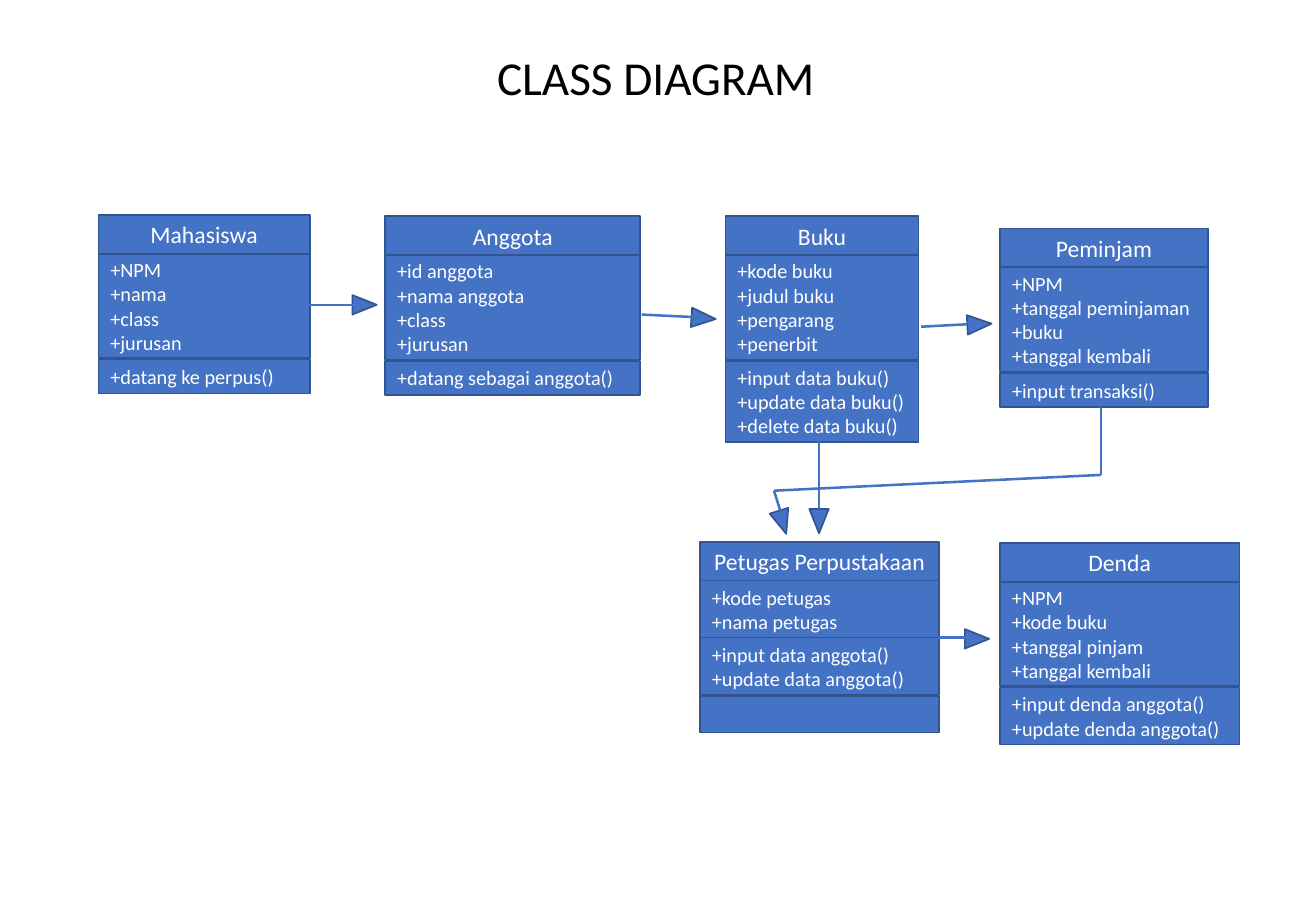
from dataclasses import dataclass
from itertools import pairwise

from pptx import Presentation
from pptx.dml.color import RGBColor
from pptx.enum.shapes import MSO_CONNECTOR, MSO_SHAPE
from pptx.enum.text import MSO_ANCHOR, MSO_AUTO_SIZE, PP_ALIGN
from pptx.oxml.ns import qn
from pptx.shapes.autoshape import Shape
from pptx.slide import Slide
from pptx.text.text import TextFrame
from pptx.util import Emu, Pt
from lxml.etree import SubElement

EMU_PER_PX = 9144
FONT = "Calibri"
BLUE = "4472C4"
OUTLINE = "325491"
WHITE = "FFFFFF"
BLACK = "000000"
NAME_HEIGHT = 32
HEAD_WIDTH, HEAD_HEIGHT = 16, 20


@dataclass(frozen=True)
class ClassBox:
    name: str
    left: int
    top: int
    width: int
    attributes: list[str]
    operations_top: int
    operations: list[str]


@dataclass(frozen=True)
class Arrow:
    points: list[tuple[int, int]]
    head_left: int
    head_top: int
    head_angle: float


CLASSES = [
    ClassBox("Mahasiswa", 81, 177, 174, ["+NPM", "+nama", "+class", "+jurusan"],
             296, ["+datang ke perpus()"]),
    ClassBox("Anggota", 317, 178, 210,
             ["+id anggota", "+nama anggota", "+class", "+jurusan"],
             297, ["+datang sebagai anggota()"]),
    ClassBox("Buku", 597, 178, 159,
             ["+kode buku", "+judul buku", "+pengarang", "+penerbit"],
             297, ["+input data buku()", "+update data buku()", "+delete data buku()"]),
    ClassBox("Peminjam", 823, 188, 171,
             ["+NPM", "+tanggal peminjaman", "+buku", "+tanggal kembali"],
             307, ["+input transaksi()"]),
    ClassBox("Petugas Perpustakaan", 576, 446, 197, ["+kode petugas", "+nama petugas"],
             525, ["+input data anggota()", "+update data anggota()"]),
    ClassBox("Denda", 823, 447, 197,
             ["+NPM", "+kode buku", "+tanggal pinjam", "+tanggal kembali"],
             566, ["+input denda anggota()", "+update denda anggota()"]),
]

ARROWS = [
    Arrow([(254, 251), (291, 251)], 292, 241, 90),
    Arrow([(528, 259), (570, 261)], 571, 252, 93.9),
    Arrow([(758, 269), (796, 267)], 798, 257, 87.1),
    Arrow([(906, 335), (906, 391), (637, 404), (642, 420)], 636, 420, 162.6),
    Arrow([(674, 362), (674, 419)], 666, 419, 180),
    Arrow([(772, 525), (795, 525)], 796, 516, 90),
]


def px(value: int) -> Emu:
    return Emu(value * EMU_PER_PX)


def color(value: str) -> RGBColor:
    return RGBColor.from_string(value)


def write_lines(frame: TextFrame, lines: list[str], size: int, font_color: str,
                alignment: PP_ALIGN) -> None:
    for index, line in enumerate(lines):
        paragraph = frame.add_paragraph() if index else frame.paragraphs[0]
        paragraph.alignment = alignment
        run = paragraph.add_run()
        run.text = line
        run.font.name = FONT
        run.font.size = Pt(size)
        run.font.color.rgb = color(font_color)


def add_blue_shape(slide: Slide, kind: MSO_SHAPE, left: int, top: int,
                   width: int, height: int) -> Shape:
    shape = slide.shapes.add_shape(kind, px(left), px(top), px(width), px(height))
    shape.shadow.inherit = False
    shape.fill.solid()
    shape.fill.fore_color.rgb = color(BLUE)
    shape.line.color.rgb = color(OUTLINE)
    shape.line.width = Pt(1)
    return shape


def add_compartment(slide: Slide, left: int, top: int, width: int, height: int,
                    lines: list[str], size: int = 12,
                    alignment: PP_ALIGN = PP_ALIGN.LEFT) -> None:
    shape = add_blue_shape(slide, MSO_SHAPE.RECTANGLE, left, top, width, height)
    frame = shape.text_frame
    frame.word_wrap = True
    frame.vertical_anchor = MSO_ANCHOR.MIDDLE
    write_lines(frame, lines, size, WHITE, alignment)


def member_height(lines: list[str]) -> int:
    return round(8.5 + 19.4 * len(lines))


def add_class(slide: Slide, box: ClassBox) -> None:
    add_compartment(slide, box.left, box.top, box.width, NAME_HEIGHT,
                    [box.name], 14, PP_ALIGN.CENTER)
    members = [(box.top + NAME_HEIGHT, box.attributes),
               (box.operations_top, box.operations)]
    for top, lines in members:
        add_compartment(slide, box.left, top, box.width, member_height(lines), lines)


def add_arrow(slide: Slide, arrow: Arrow) -> None:
    head = add_blue_shape(slide, MSO_SHAPE.ISOSCELES_TRIANGLE, arrow.head_left,
                          arrow.head_top, HEAD_WIDTH, HEAD_HEIGHT)
    head.rotation = arrow.head_angle
    for (x1, y1), (x2, y2) in pairwise(arrow.points):
        connector = slide.shapes.add_connector(
            MSO_CONNECTOR.STRAIGHT, px(x1), px(y1), px(x2), px(y2))
        connector.line.color.rgb = color(BLUE)
        connector.line.width = Pt(1.5)
        SubElement(connector._element.spPr, qn("a:effectLst"))


def add_title(slide: Slide, text: str) -> None:
    title = slide.shapes.title
    title.left, title.top, title.width, title.height = px(399), px(35), px(284), px(57)
    frame = title.text_frame
    frame.word_wrap = False
    frame.auto_size = MSO_AUTO_SIZE.SHAPE_TO_FIT_TEXT
    frame.vertical_anchor = MSO_ANCHOR.TOP
    write_lines(frame, [text], 28, BLACK, PP_ALIGN.LEFT)


def main() -> None:
    presentation = Presentation()
    presentation.slide_width, presentation.slide_height = px(1083), px(750)
    slide = presentation.slides.add_slide(presentation.slide_layouts[5])
    add_title(slide, "CLASS DIAGRAM")
    for box in CLASSES:
        add_class(slide, box)
    add_blue_shape(slide, MSO_SHAPE.RECTANGLE, 576, 573, 197, 30)
    for arrow in ARROWS:
        add_arrow(slide, arrow)
    presentation.save("out.pptx")


if __name__ == "__main__":
    main()
